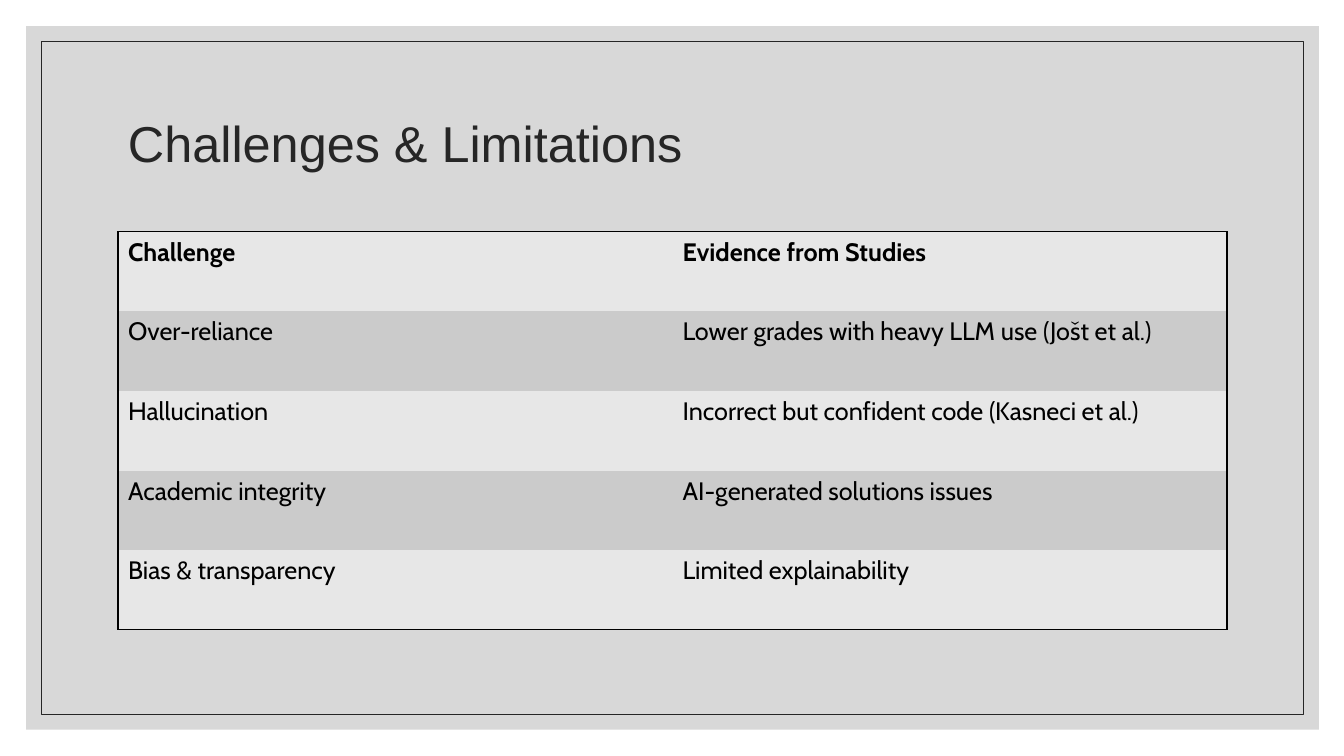
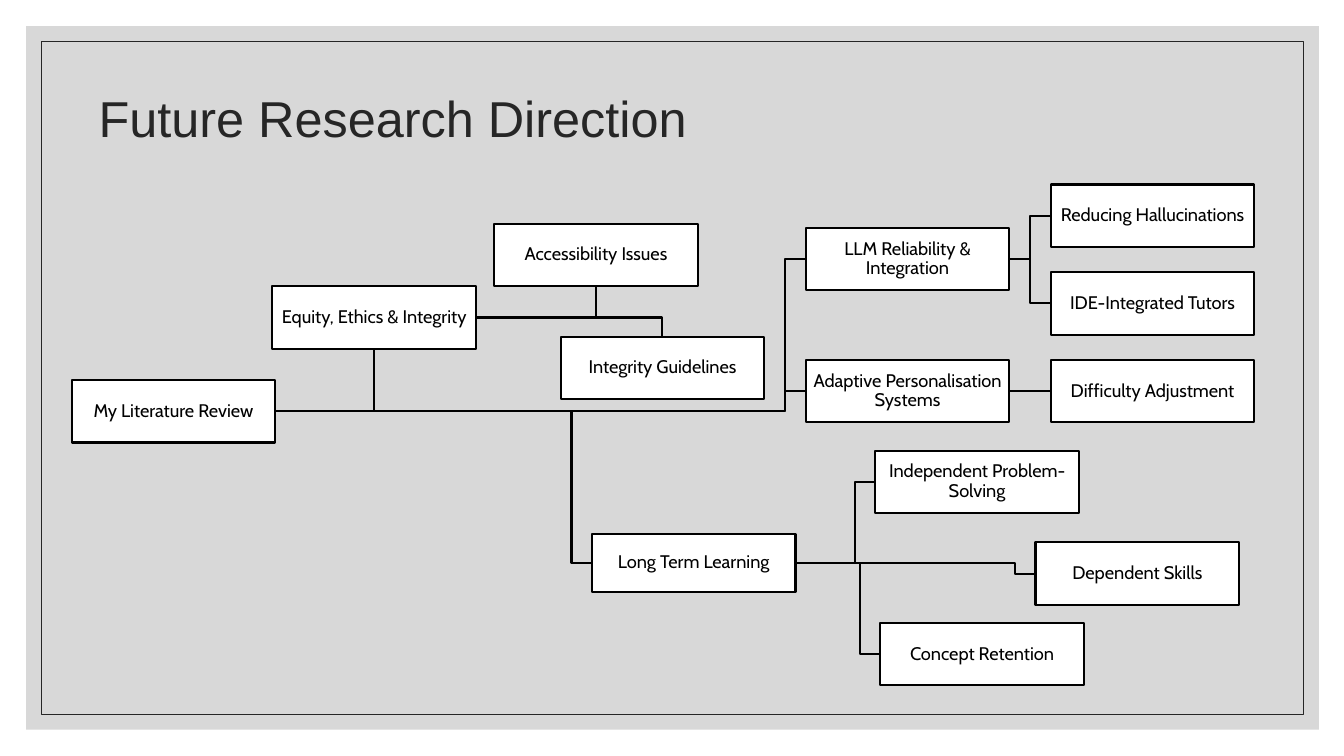
from lxml.etree import SubElement
from pptx import Presentation
from pptx.dml.color import RGBColor
from pptx.enum.shapes import MSO_CONNECTOR as Link, MSO_SHAPE as Preset
from pptx.enum.text import MSO_ANCHOR as Anchor, PP_ALIGN as Align
from pptx.oxml.ns import qn
from pptx.util import Inches, Pt

THEME = {
    "panel": "BFBFBF", "panel_alpha": 60, "title": "262626",
    "ink": "000000", "box": "FFFFFF", "bands": ("E7E7E7", "CBCBCB"),
    "title_font": "Arial", "body_font": "Cabin",
    "title_size": 36, "table_size": 18, "box_size": 13,
    "frame_line": 0.5, "table_line": 1, "tree_line": 1.5,
}

CHALLENGES = {
    "title": "Challenges & Limitations",
    "title_at": (1.17, 0.7),
    "table_at": (1.17, 2.3, 11, 3.95),
    "rows": [
        ("Challenge", "Evidence from Studies"),
        ("Over-reliance", "Lower grades with heavy LLM use (Jošt et al.)"),
        ("Hallucination", "Incorrect but confident code (Kasneci et al.)"),
        ("Academic integrity", "AI-generated solutions issues"),
        ("Bias & transparency", "Limited explainability"),
    ],
}

BOX_WIDTH, BOX_HEIGHT, JOG = 2.02, 0.62, 0.2
TOP, LEFT, BOTTOM, RIGHT = range(4)
DIRECTIONS = {
    "title": "Future Research Direction",
    "title_at": (0.88, 0.45),
    "topics": {
        "review": ("My Literature Review", 0.71, 3.77),
        "reliability": ("LLM Reliability & Integration", 7.99, 2.26),
        "hallucinations": ("Reducing Hallucinations", 10.42, 1.83),
        "tutors": ("IDE-Integrated Tutors", 10.42, 2.7),
        "adaptive": ("Adaptive Personalisation Systems", 7.99, 3.57),
        "difficulty": ("Difficulty Adjustment", 10.42, 3.57),
        "learning": ("Long Term Learning", 5.87, 5.3),
        "independent": ("Independent Problem-Solving", 8.68, 4.47),
        "dependent": ("Dependent Skills", 10.27, 5.38),
        "retention": ("Concept Retention", 8.73, 6.18),
        "equity": ("Equity, Ethics & Integrity", 2.7, 2.84),
        "accessibility": ("Accessibility Issues", 4.9, 2.22),
        "guidelines": ("Integrity Guidelines", 5.56, 3.34),
    },
    "heights": {"learning": 0.57},
    "branches": [
        ("review", LEFT, ("reliability", "adaptive", "learning")),
        ("review", BOTTOM, ("equity",)),
        ("reliability", LEFT, ("hallucinations", "tutors")),
        ("adaptive", LEFT, ("difficulty",)),
        ("learning", LEFT, ("independent", "dependent", "retention")),
        ("equity", BOTTOM, ("accessibility",)),
        ("equity", TOP, ("guidelines",)),
    ],
}


def rgb(key):
    return RGBColor.from_string(THEME[key])


def write(frame, text, size, font, color, bold=False, align=Align.LEFT, spacing=None):
    frame.word_wrap = True
    paragraph = frame.paragraphs[0]
    paragraph.alignment = align
    paragraph.line_spacing = spacing
    run = paragraph.add_run()
    run.text = text
    run.font.color.rgb = rgb(color)
    looks = {"size": Pt(THEME[size]), "name": THEME[font], "bold": bold}
    for name, value in looks.items():
        setattr(run.font, name, value)
    return paragraph


def add_rect(slide, at, fill=None, line=None, weight=None):
    rect = slide.shapes.add_shape(Preset.RECTANGLE, *map(Inches, at))
    rect.shadow.inherit = False
    if fill:
        rect.fill.solid()
        rect.fill.fore_color.rgb = rgb(fill)
    else:
        rect.fill.background()
    if line:
        rect.line.color.rgb = rgb(line)
        rect.line.width = Pt(THEME[weight])
    else:
        rect.line.fill.background()
    return rect


def start_slide(deck, title, title_at):
    slide = deck.slides.add_slide(deck.slide_layouts[6])
    panel = add_rect(slide, (0.26, 0.26, 12.82, 6.98), fill="panel")
    color = panel.fill._xPr.find(".//" + qn("a:srgbClr"))
    SubElement(color, qn("a:alpha"), val=str(THEME["panel_alpha"] * 1000))
    add_rect(slide, (0.41, 0.41, 12.52, 6.68), line="title", weight="frame_line")
    heading = slide.shapes.add_textbox(*map(Inches, (*title_at, 11, 1.5))).text_frame
    heading.vertical_anchor = Anchor.MIDDLE
    write(heading, title, "title_size", "title_font", "title", spacing=0.9)
    return slide


def set_borders(cell, outer):
    properties = cell._tc.get_or_add_tcPr()
    for side, visible in outer.items():
        edge = SubElement(properties, qn("a:ln" + side), w=str(Pt(THEME["table_line"])))
        if visible:
            fill = SubElement(edge, qn("a:solidFill"))
            SubElement(fill, qn("a:srgbClr"), val=THEME["ink"])
        else:
            SubElement(edge, qn("a:noFill"))


def build_challenges(deck):
    slide = start_slide(deck, CHALLENGES["title"], CHALLENGES["title_at"])
    rows = CHALLENGES["rows"]
    last_row, last_column = len(rows) - 1, len(rows[0]) - 1
    place = map(Inches, CHALLENGES["table_at"])
    table = slide.shapes.add_table(len(rows), len(rows[0]), *place).table
    table.first_row = table.horz_banding = False
    for r, texts in enumerate(rows):
        for c, text in enumerate(texts):
            cell = table.cell(r, c)
            set_borders(cell, {"L": c == 0, "R": c == last_column,
                               "T": r == 0, "B": r == last_row})
            cell.fill.solid()
            cell.fill.fore_color.rgb = RGBColor.from_string(THEME["bands"][r % 2])
            write(cell.text_frame, text, "table_size", "body_font", "ink", bold=r == 0)


def add_topic(slide, text, left, top, height):
    box = add_rect(slide, (left, top, BOX_WIDTH, height), "box", "ink", "tree_line")
    frame = box.text_frame
    frame.vertical_anchor = Anchor.MIDDLE
    for side in ("left", "top", "right", "bottom"):
        setattr(frame, "margin_" + side, Inches(0.01))
    label = write(frame, text, "box_size", "body_font", "ink",
                  align=Align.CENTER, spacing=0.9)
    label.space_after = Pt(5)
    return box


def add_branch(slide, parent, child, side):
    level = parent.top + parent.height // 2 == child.top + child.height // 2
    kind = Link.STRAIGHT if level else Link.ELBOW
    branch = slide.shapes.add_connector(kind, 0, 0, 0, 0)
    branch.begin_connect(parent, RIGHT)
    branch.end_connect(child, side)
    branch.line.color.rgb = rgb("ink")
    branch.line.width = Pt(THEME["tree_line"])
    properties = branch._element.spPr
    SubElement(properties, qn("a:effectLst"))
    geometry = properties.find(qn("a:prstGeom"))
    if side != LEFT:
        geometry.set("prst", "bentConnector2")
    elif not level:
        bend = round(100000 * (1 - Inches(JOG) / branch.width))
        guides = geometry.find(qn("a:avLst"))
        SubElement(guides, qn("a:gd"), name="adj1", fmla=f"val {bend}")


def build_directions(deck):
    slide = start_slide(deck, DIRECTIONS["title"], DIRECTIONS["title_at"])
    boxes = {
        key: add_topic(slide, *topic, DIRECTIONS["heights"].get(key, BOX_HEIGHT))
        for key, topic in DIRECTIONS["topics"].items()
    }
    for parent, side, children in DIRECTIONS["branches"]:
        for child in children:
            add_branch(slide, boxes[parent], boxes[child], side)


def main():
    deck = Presentation()
    deck.slide_width, deck.slide_height = Inches(13.33), Inches(7.5)
    build_challenges(deck)
    build_directions(deck)
    deck.save("out.pptx")


if __name__ == "__main__":
    main()
